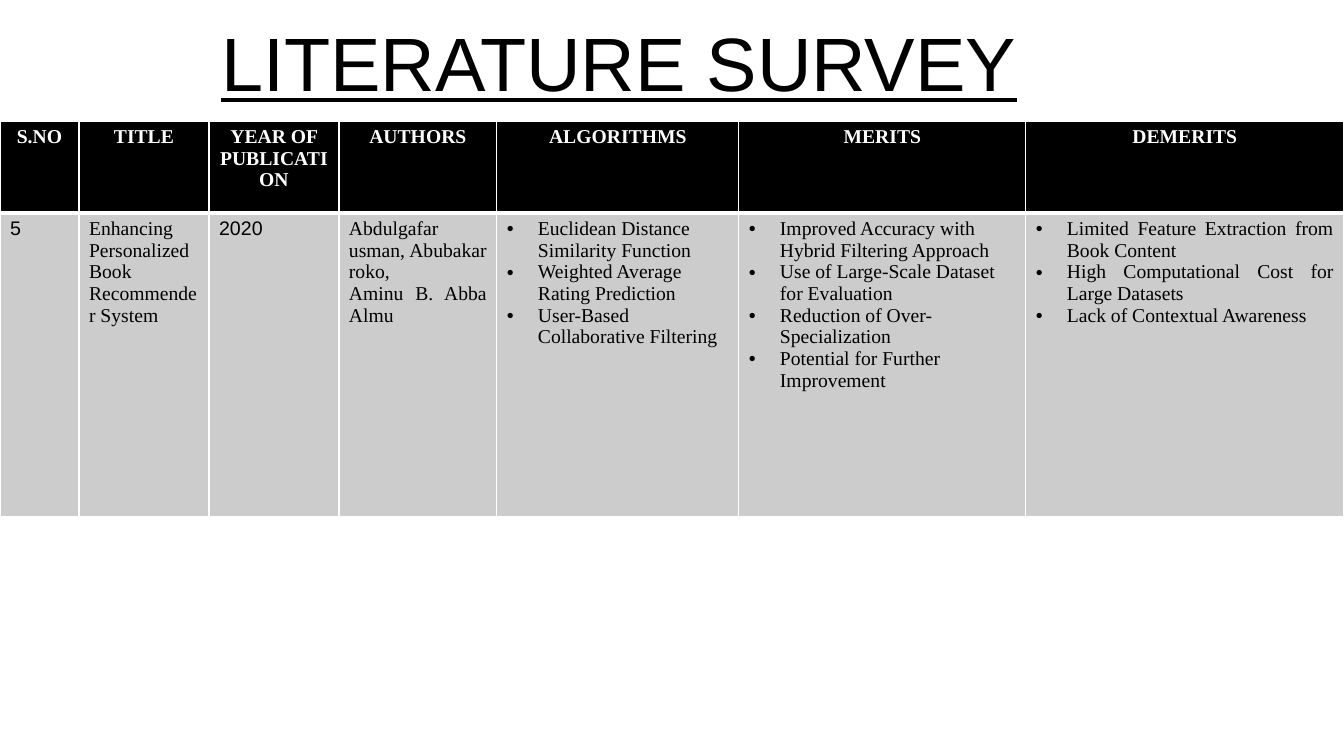
from lxml import etree
from pptx import Presentation
from pptx.dml.color import RGBColor
from pptx.enum.text import MSO_ANCHOR, PP_ALIGN
from pptx.oxml.ns import qn
from pptx.util import Pt

LEFT, CENTER, JUSTIFY = PP_ALIGN.LEFT, PP_ALIGN.CENTER, PP_ALIGN.JUSTIFY
BOTTOM = MSO_ANCHOR.BOTTOM
SANS, SERIF = "Arial", "Times New Roman"
COLORS = {"ink": "000000", "paper": "FFFFFF", "header": "000000", "body": "CCCCCC"}

HEADING = "LITERATURE SURVEY"
SURVEY = [
    {"header": "S.NO", "width": 79, "font": SANS, "align": JUSTIFY, "bullets": False,
     "lines": ["5"]},
    {"header": "TITLE", "width": 130, "font": SERIF, "align": JUSTIFY, "bullets": False,
     "lines": ["Enhancing Personalized Book Recommender System"]},
    {"header": "YEAR OF PUBLICATION", "width": 130, "font": SANS, "align": JUSTIFY, "bullets": False,
     "lines": ["2020"]},
    {"header": "AUTHORS", "width": 158, "font": SERIF, "align": JUSTIFY, "bullets": False,
     "lines": ["Abdulgafar usman, Abubakar roko,", "Aminu B. Abba Almu"]},
    {"header": "ALGORITHMS", "width": 242, "font": SERIF, "align": LEFT, "bullets": True,
     "lines": ["Euclidean Distance Similarity Function",
               "Weighted Average Rating Prediction",
               "User-Based Collaborative Filtering"]},
    {"header": "MERITS", "width": 287, "font": SERIF, "align": LEFT, "bullets": True,
     "lines": ["Improved Accuracy with Hybrid Filtering Approach",
               "Use of Large-Scale Dataset for Evaluation",
               "Reduction of Over-Specialization",
               "Potential for Further Improvement"]},
    {"header": "DEMERITS", "width": 318, "font": SERIF, "align": JUSTIFY, "bullets": True,
     "lines": ["Limited Feature Extraction from Book Content",
               "High Computational Cost for Large Datasets",
               "Lack of Contextual Awareness"]},
]

SLIDE_SIZE = (1344, 756)
HEADING_BOX = (115, 16, 1008, 97)
TABLE_TOP = 121
ROW_HEIGHTS = (92, 304)
BULLET_INDENT = 31
HEADER_BORDERS = {"lnL": 1, "lnR": 1, "lnT": 1, "lnB": 3}
BODY_BORDERS = {"lnL": 1, "lnR": 1, "lnT": 3, "lnB": 1}


def px(length):
    return round(length * 914400 / 100.8)


def color(name):
    return RGBColor.from_string(COLORS[name])


def add_run(paragraph, text, font, size, ink, bold=False, underline=False):
    run = paragraph.add_run()
    run.text = text
    run.font.name = font
    run.font.size = Pt(size)
    run.font.color.rgb = color(ink)
    run.font.bold = bold
    run.font.underline = underline


def add_bullet(paragraph):
    properties = paragraph._p.get_or_add_pPr()
    properties.set("marL", str(px(BULLET_INDENT)))
    properties.set("indent", str(-px(BULLET_INDENT)))
    etree.SubElement(properties, qn("a:buFont")).set("typeface", SANS)
    etree.SubElement(properties, qn("a:buChar")).set("char", "•")


def add_borders(cell, widths):
    properties = cell._tc.get_or_add_tcPr()
    for position, (side, width) in enumerate(widths.items()):
        border = etree.Element(qn(f"a:{side}"), w=str(Pt(width)))
        paint = etree.SubElement(border, qn("a:solidFill"))
        etree.SubElement(paint, qn("a:srgbClr")).set("val", COLORS["paper"])
        properties.insert(position, border)


def fill_cell(cell, lines, align, font, ink, fill, borders, bold=False, bullets=False):
    cell.fill.solid()
    cell.fill.fore_color.rgb = color(fill)
    add_borders(cell, borders)
    frame = cell.text_frame
    for index, line in enumerate(lines):
        paragraph = frame.add_paragraph() if index else frame.paragraphs[0]
        paragraph.alignment = align
        if bullets:
            add_bullet(paragraph)
        add_run(paragraph, line, font, 14, ink, bold)


def add_heading(slide):
    frame = slide.shapes.add_textbox(*map(px, HEADING_BOX)).text_frame
    frame.word_wrap = True
    frame.vertical_anchor = BOTTOM
    paragraph = frame.paragraphs[0]
    paragraph.alignment = CENTER
    paragraph.line_spacing = 0.9
    add_run(paragraph, HEADING, SANS, 54, "ink", underline=True)


def add_survey(slide):
    table = slide.shapes.add_table(
        len(ROW_HEIGHTS), len(SURVEY), 0, px(TABLE_TOP),
        px(SLIDE_SIZE[0]), px(sum(ROW_HEIGHTS))).table
    table.first_row = table.horz_banding = False
    for row, height in zip(table.rows, ROW_HEIGHTS):
        row.height = px(height)
    for index, topic in enumerate(SURVEY):
        table.columns[index].width = px(topic["width"])
        fill_cell(table.cell(0, index), [topic["header"]], CENTER, SERIF,
                  "paper", "header", HEADER_BORDERS, bold=True)
        fill_cell(table.cell(1, index), topic["lines"], topic["align"], topic["font"],
                  "ink", "body", BODY_BORDERS, bullets=topic["bullets"])


def main():
    deck = Presentation()
    deck.slide_width, deck.slide_height = map(px, SLIDE_SIZE)
    slide = deck.slides.add_slide(deck.slide_layouts[6])
    add_heading(slide)
    add_survey(slide)
    deck.save("out.pptx")


if __name__ == "__main__":
    main()
